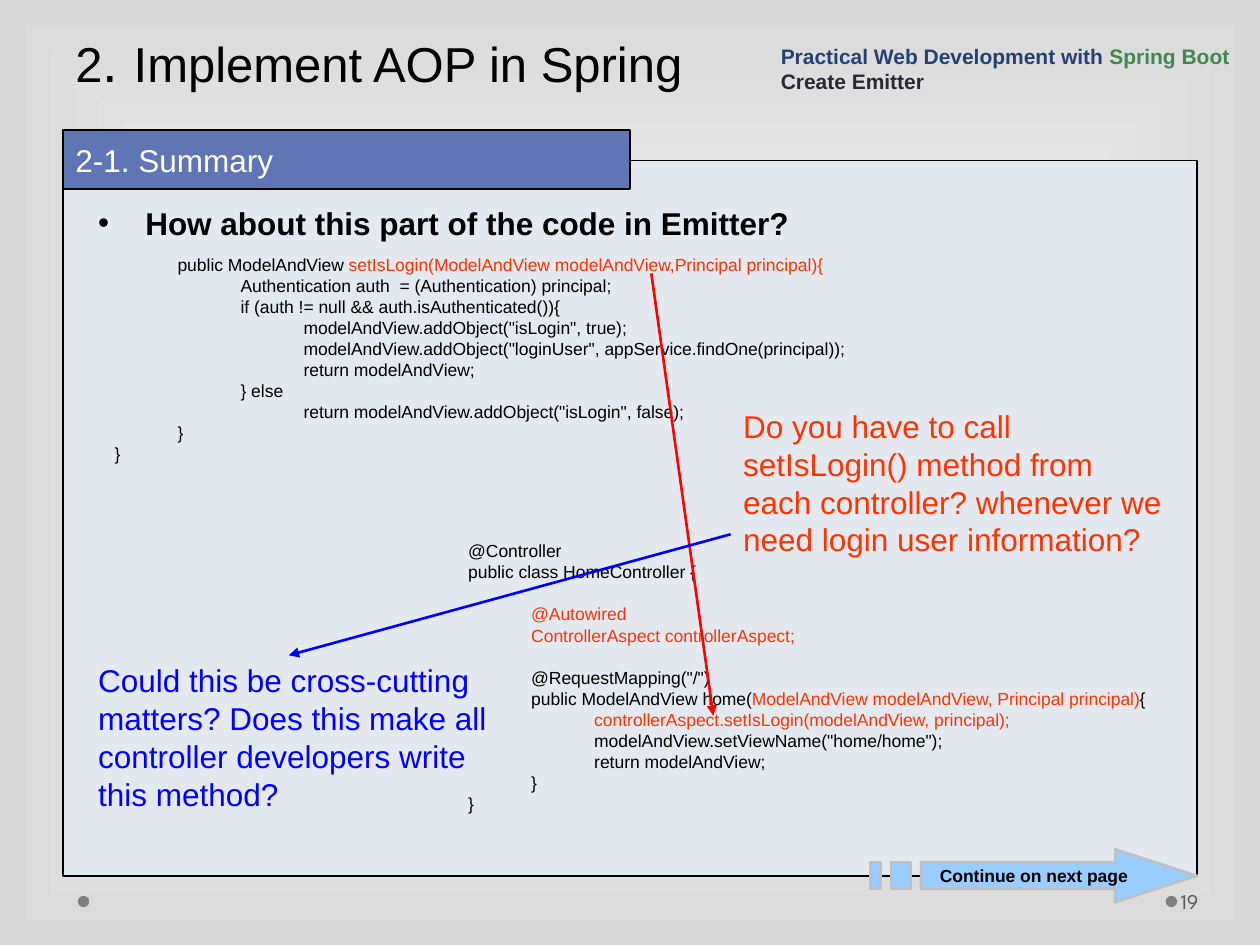
from collections import namedtuple

from lxml import etree
from pptx import Presentation
from pptx.dml.color import RGBColor
from pptx.enum.shapes import MSO_CONNECTOR, MSO_SHAPE
from pptx.enum.text import MSO_ANCHOR as ANCHOR, PP_ALIGN as ALIGN
from pptx.oxml import parse_xml
from pptx.oxml.ns import nsdecls, qn
from pptx.util import Cm, Pt

COLORS = {
    "black": "000000", "white": "FFFFFF", "edge": "D9D9D9", "dot": "7F7F7F",
    "number": "595959", "panel": "E4E9EF", "tab": "6076B4", "navy": "234271",
    "green": "40884F", "ink": "292934", "sky": "99CCFF", "silver": "C0C0C0",
    "orange": "FF3300", "red": "FF0000", "blue": "0000FF",
}
TAB_STEP = 1.27
CODE_GAP = Pt(12)

# Measured in centimetres
Box = namedtuple("Box", "left top width height")

# Each code line is (indent level, blank line above, [(text, colour), ...])
METHOD_CODE = [
    (1, False, [("public ModelAndView ", "black"),
                ("setIsLogin(ModelAndView modelAndView,Principal principal){", "orange")]),
    (2, False, [("Authentication auth  = (Authentication) principal;", "black")]),
    (2, False, [("if (auth != null && auth.isAuthenticated()){", "black")]),
    (3, False, [('modelAndView.addObject("isLogin", true);', "black")]),
    (3, False, [('modelAndView.addObject("loginUser", appService.findOne(principal));', "black")]),
    (3, False, [("return modelAndView;", "black")]),
    (2, False, [("} else", "black")]),
    (3, False, [('return modelAndView.addObject("isLogin", false);', "black")]),
    (1, False, [("}", "black")]),
    (0, False, [("}", "black")]),
]
CONTROLLER_CODE = [
    (0, False, [("@Controller", "black")]),
    (0, False, [("public class HomeController {", "black")]),
    (1, True, [("@Autowired", "orange")]),
    (1, False, [("ControllerAspect controllerAspect;", "orange")]),
    (1, True, [('@RequestMapping("/")', "black")]),
    (1, False, [("public ModelAndView home(", "black"),
                ("ModelAndView modelAndView, Principal principal)", "orange"),
                ("{", "black")]),
    (2, False, [("controllerAspect.setIsLogin(modelAndView, principal);", "orange")]),
    (2, False, [('modelAndView.setViewName("home/home");', "black")]),
    (2, False, [("return modelAndView;", "black")]),
    (1, False, [("}", "black")]),
    (0, False, [("}", "black")]),
]


def rgb(name):
    return RGBColor.from_string(COLORS[name])


def inside(box, left, top, width, height):
    """Return a box whose position is given relative to another box."""
    return Box(box.left + left, box.top + top, width, height)


def paint(shape, fill, line=None, width=0.75):
    shape.shadow.inherit = False
    shape.fill.solid()
    shape.fill.fore_color.rgb = rgb(fill)
    if line:
        shape.line.color.rgb = rgb(line)
        shape.line.width = Pt(width)
    else:
        shape.line.fill.background()


def add_preset(page, kind, box, fill, line=None):
    shape = page.shapes.add_shape(kind, *map(Cm, box))
    paint(shape, fill, line)
    return shape


def add_text(page, box, anchor=ANCHOR.TOP):
    frame = page.shapes.add_textbox(*map(Cm, box)).text_frame
    frame.word_wrap = True
    frame.vertical_anchor = anchor
    return frame


def add_span(para, text, size, color, bold=False, font="Arial"):
    span = para.add_run()
    span.text = text
    span.font.name = font
    span.font.size = Pt(size)
    span.font.bold = bold
    span.font.color.rgb = rgb(color)


def set_background(page):
    stops = "".join(
        f'<a:gs pos="{pos}"><a:srgbClr val="{COLORS[name]}"/></a:gs>'
        for pos, name in ((0, "white"), (100000, "edge")))
    page.background.fill.gradient()
    old = page.background._cSld.find(".//" + qn("a:gradFill"))
    old.getparent().replace(old, parse_xml(
        f'<a:gradFill {nsdecls("a")} rotWithShape="1"><a:gsLst>{stops}</a:gsLst>'
        '<a:path path="rect"><a:fillToRect l="50000" t="50000" r="50000" b="50000"/>'
        '</a:path></a:gradFill>'))


def add_header(page, box):
    title = add_text(page, inside(box, 0, 0, 22.86, box.height), ANCHOR.BOTTOM).paragraphs[0]
    title.line_spacing = Pt(57.9)
    for text, size in (("2", 28), (". ", 32), ("Implement AOP in Spring", 28)):
        add_span(title, text, size, "black")
    course = add_text(page, inside(box, 14.22, 0.61, 9.91, 1.4), ANCHOR.BOTTOM)
    add_span(course.paragraphs[0], "Practical Web Development with ", 12, "navy", True)
    add_span(course.paragraphs[0], "Spring Boot", 12, "green", True)
    add_span(course.add_paragraph(), "Create Emitter", 12, "ink", True)


def add_panel(page, box):
    add_preset(page, MSO_SHAPE.RECTANGLE, box, "panel", "black")
    tab = add_preset(page, MSO_SHAPE.RECTANGLE, inside(box, 0, -0.61, 11.43, 1.19), "tab", "black")
    tab.text_frame.vertical_anchor = ANCHOR.MIDDLE
    label = tab.text_frame.paragraphs[0]
    label.alignment = ALIGN.LEFT
    add_span(label, "2-1. Summary", 18, "white")

    heading = add_text(page, inside(box, 0.46, 0.76, 19.66, 1.02)).paragraphs[0]
    props = heading._p.get_or_add_pPr()
    props.set("marL", str(Cm(0.95)))
    props.set("indent", str(-Cm(0.95)))
    etree.SubElement(props, qn("a:buFont")).set("typeface", "Arial")
    etree.SubElement(props, qn("a:buChar")).set("char", "•")
    add_span(heading, "How about this part of the code in Emitter?", 18, "black", True)


def add_code(page, box, lines):
    frame = add_text(page, box)
    for index, (level, gap, spans) in enumerate(lines):
        para = frame.add_paragraph() if index else frame.paragraphs[0]
        tabs = etree.SubElement(para._p.get_or_add_pPr(), qn("a:tabLst"))
        for stop in range(1, 4):
            etree.SubElement(tabs, qn("a:tab"), pos=str(Cm(stop * TAB_STEP)), algn="l")
        if gap:
            para.space_before = CODE_GAP
        for number, (text, color) in enumerate(spans):
            add_span(para, text if number else "\t" * level + text, 10, color)


def add_question(page, box, text, color):
    add_span(add_text(page, box).paragraphs[0], text, 18, color)


def add_arrow(page, start, end, color):
    arrow = page.shapes.add_connector(MSO_CONNECTOR.STRAIGHT, *map(Cm, start + end))
    arrow.line.color.rgb = rgb(color)
    arrow.line.width = Pt(1.5)
    etree.SubElement(arrow.line._get_or_add_ln(), qn("a:tailEnd")).set("type", "triangle")
    etree.SubElement(arrow._element.spPr, qn("a:effectLst"))


def add_next_arrow(page, box):
    """Draw a block arrow with two loose bars behind its shaft."""
    high, low, neck = 0.26, 0.8, 4.93
    head = [(neck, 0), (neck, high), (1.02, high), (1.02, low),
            (neck, low), (neck, box.height), (box.width, box.height / 2)]
    bars = [[(left, high), (left, low), (right, low), (right, high)]
            for left, right in ((0.41, 0.81), (0, 0.2))]
    outlines = [[(Cm(box.left + x), Cm(box.top + y)) for x, y in points]
                for points in [head] + bars]
    builder = page.shapes.build_freeform(*outlines[0][0])
    for number, points in enumerate(outlines):
        if number:
            builder.move_to(*points[0])
        builder.add_line_segments(points[1:], close=True)
    shape = builder.convert_to_shape()
    paint(shape, "sky", "silver", 1.5)
    frame = shape.text_frame
    frame.word_wrap = False
    frame.vertical_anchor = ANCHOR.MIDDLE
    frame.paragraphs[0].alignment = ALIGN.CENTER
    add_span(frame.paragraphs[0], "Continue on next page", 10, "black", True)


def add_footer(page, box):
    for left in (0.3, 22.23):
        add_preset(page, MSO_SHAPE.OVAL, inside(box, left, 0.41, 0.23, 0.23), "dot")
    frame = add_text(page, inside(box, 22.45, 0, 1.55, box.height), ANCHOR.MIDDLE)
    frame.margin_left = Cm(0.08)
    add_span(frame.paragraphs[0], "19", 12, "number", font="League Spartan")


def main():
    deck = Presentation()
    deck.slide_width, deck.slide_height = Cm(25.4), Cm(19.05)
    page = deck.slides.add_slide(deck.slide_layouts[6])
    set_background(page)
    add_footer(page, Box(1.27, 17.65, 24, 1.02))
    add_panel(page, Box(1.27, 3.23, 22.86, 14.43))
    add_header(page, Box(1.27, 0, 24.13, 2.01))
    add_next_arrow(page, Box(17.55, 17.12, 6.58, 1.07))
    add_code(page, Box(2.06, 5, 15.47, 4.5), METHOD_CODE)
    add_code(page, Box(9.19, 10.77, 14.55, 5.77), CONTROLLER_CODE)
    add_arrow(page, (13.13, 5.51), (14.38, 14.43), "red")
    add_question(page, Box(14.73, 8.08, 9.02, 3.3),
                 "Do you have to call setIsLogin() method from each controller? "
                 "whenever we need login user information?", "orange")
    add_question(page, Box(1.73, 13.21, 8.53, 3.3),
                 "Could this be cross-cutting matters? Does this make all "
                 "controller developers write this method?", "blue")
    add_arrow(page, (14.73, 10.77), (5.82, 13.21), "blue")
    deck.save("out.pptx")


if __name__ == "__main__":
    main()
